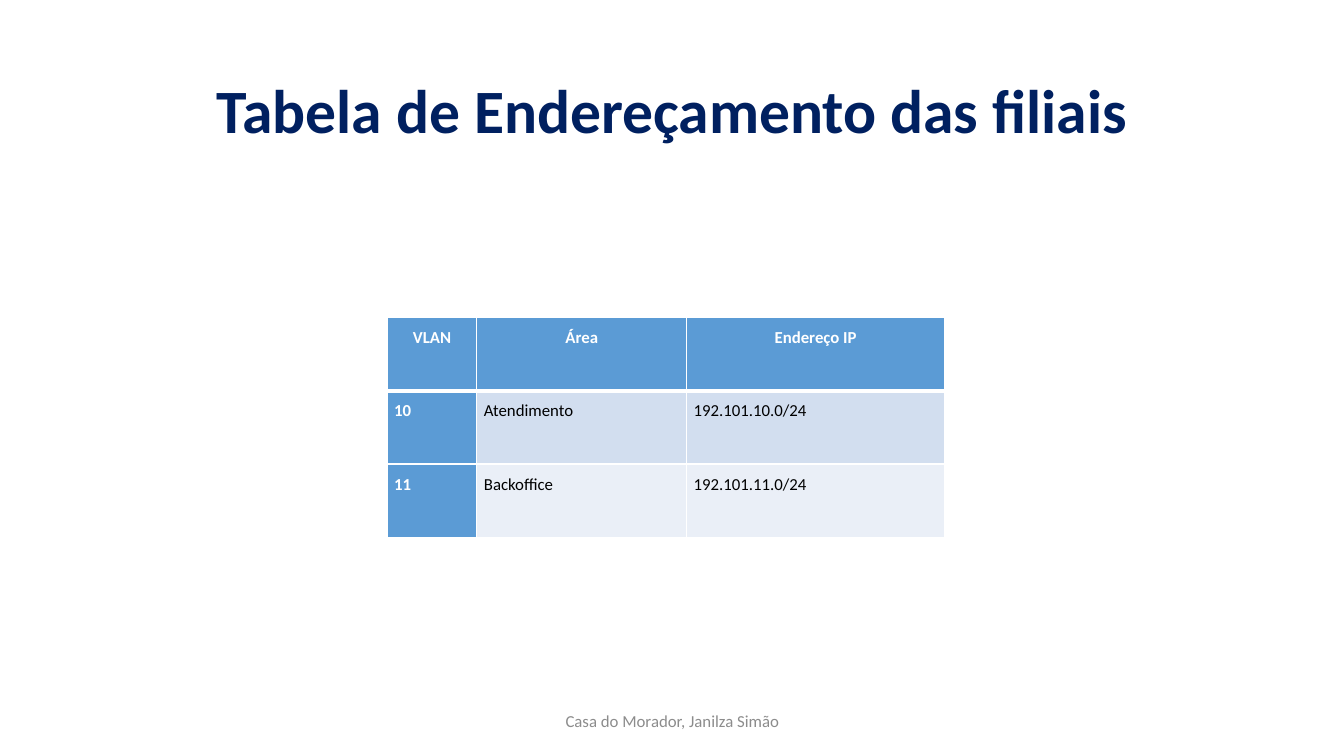
from pptx import Presentation
from pptx.dml.color import RGBColor
from pptx.enum.text import MSO_ANCHOR, PP_ALIGN
from pptx.oxml import parse_xml
from pptx.oxml.ns import nsdecls
from pptx.util import Inches, Pt

NAVY = RGBColor(0x00, 0x20, 0x60)
BLUE = RGBColor(0x5B, 0x9B, 0xD5)
BAND_DARK = RGBColor(0xD2, 0xDE, 0xEF)
BAND_LIGHT = RGBColor(0xEA, 0xEF, 0xF7)
WHITE = RGBColor(0xFF, 0xFF, 0xFF)
BLACK = RGBColor(0x00, 0x00, 0x00)
GRAY = RGBColor(0x8C, 0x8C, 0x8C)

FONT = "Calibri"
COLUMN_WIDTHS = [0.89, 2.08, 2.56]
ADDRESSES = [
    ["VLAN", "Área", "Endereço IP"],
    ["10", "Atendimento", "192.101.10.0/24"],
    ["11", "Backoffice", "192.101.11.0/24"],
]


def apply(target, values):
    """Set each named attribute of the target."""
    for name, value in values.items():
        setattr(target, name, value)


def write(frame, text, size, color, bold=False, align=PP_ALIGN.CENTER, spacing=1.0):
    """Write one formatted paragraph into a text frame."""
    para = frame.paragraphs[0]
    apply(para, {"alignment": align, "line_spacing": spacing})
    span = para.add_run()
    span.text = text
    apply(span.font, {"name": FONT, "size": Pt(size), "bold": bold})
    span.font.color.rgb = color


def add_borders(cell, top, bottom):
    """Give a cell white borders with the given top and bottom points."""
    properties = cell._tc.get_or_add_tcPr()
    widths = {"L": 1, "R": 1, "T": top, "B": bottom}
    for index, (side, width) in enumerate(widths.items()):
        line = parse_xml(
            f'<a:ln{side} {nsdecls("a")} w="{Pt(width)}"><a:solidFill>'
            f'<a:srgbClr val="{WHITE}"/></a:solidFill></a:ln{side}>'
        )
        properties.insert(index, line)


def add_title(page, box):
    """Place the slide title in the box."""
    title = page.shapes.title
    apply(title, dict(zip(("left", "top", "width", "height"), map(Inches, box))))
    apply(title.text_frame, {"word_wrap": True, "vertical_anchor": MSO_ANCHOR.MIDDLE})
    write(title.text_frame, "Tabela de Endereçamento das filiais", 44, NAVY, True, spacing=0.9)


def add_address_table(page, box):
    """Place the branch address table in the box."""
    table = page.shapes.add_table(
        len(ADDRESSES), len(COLUMN_WIDTHS), *map(Inches, box)
    ).table
    table.first_col = True
    for column, width in zip(table.columns, COLUMN_WIDTHS):
        column.width = Inches(width)
    margins = {"margin_left": Inches(0.07), "margin_right": Inches(0.07),
               "margin_top": 0, "margin_bottom": 0}
    for row, values in enumerate(ADDRESSES):
        band = BAND_DARK if row % 2 else BAND_LIGHT
        for col, text in enumerate(values):
            cell = table.cell(row, col)
            heading = row == 0 or col == 0
            apply(cell, margins)
            cell.fill.solid()
            cell.fill.fore_color.rgb = BLUE if heading else band
            add_borders(cell, 3 if row == 1 else 1, 3 if row == 0 else 1)
            align = PP_ALIGN.JUSTIFY if row else PP_ALIGN.CENTER
            write(cell.text_frame, text, 12, WHITE if heading else BLACK,
                  heading, align, 1.5)


def add_footer(page, box):
    """Place the footer line in the box."""
    frame = page.shapes.add_textbox(*map(Inches, box)).text_frame
    apply(frame, {"word_wrap": True, "vertical_anchor": MSO_ANCHOR.MIDDLE})
    write(frame, "Casa do Morador, Janilza Simão", 12, GRAY)


deck = Presentation()
apply(deck, {"slide_width": Inches(13.33), "slide_height": Inches(7.5)})
page = deck.slides.add_slide(deck.slide_layouts[5])
add_title(page, (0.92, 0.4, 11.5, 1.45))
add_address_table(page, (3.84, 3.15, sum(COLUMN_WIDTHS), 2.18))
add_footer(page, (4.42, 6.95, 4.5, 0.4))
deck.save("out.pptx")
